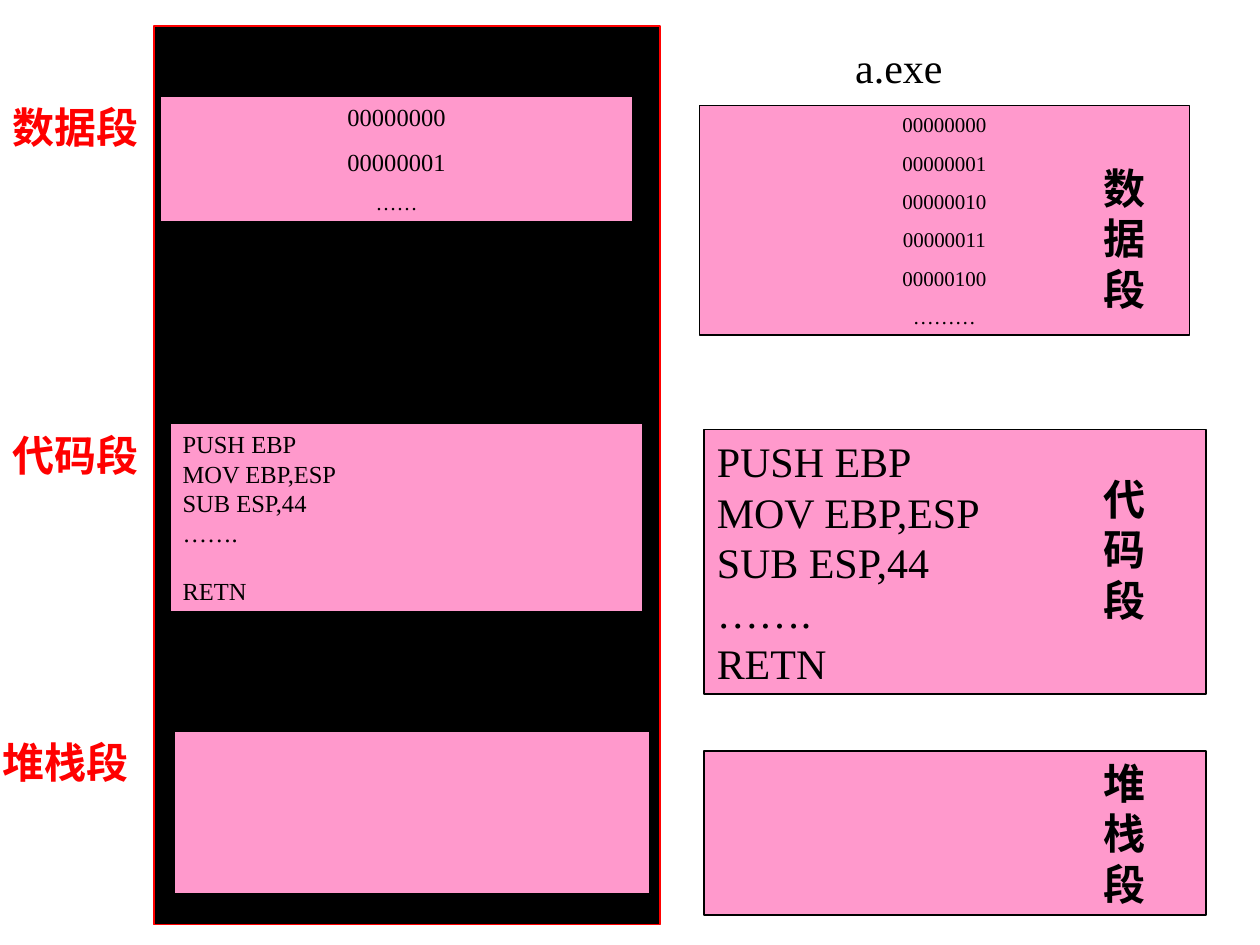
from pptx import Presentation
from pptx.dml.color import RGBColor
from pptx.enum.shapes import MSO_SHAPE as Preset
from pptx.enum.text import MSO_ANCHOR as Anchor, MSO_AUTO_SIZE as AutoSize, PP_ALIGN as Align
from pptx.util import Cm, Pt

FONT = "Times New Roman"
BLACK, RED, PINK = "000000", "FF0000", "FF99CC"
CODE = ["PUSH EBP", "MOV EBP,ESP", "SUB ESP,44", "…….", "RETN"]


def rgb(value):
    return RGBColor.from_string(value)


def write_lines(shape, lines, size, color=BLACK, bold=False, align=Align.LEFT, wrap=True):
    frame = shape.text_frame
    frame.text = "\n".join(lines)
    frame.word_wrap = wrap
    frame.auto_size = AutoSize.SHAPE_TO_FIT_TEXT
    frame.vertical_anchor = Anchor.TOP
    for paragraph in frame.paragraphs:
        paragraph.alignment = align
        for run in paragraph.runs:
            run.font.name = FONT
            run.font.size = Pt(size)
            run.font.bold = bold
            run.font.color.rgb = rgb(color)
    return frame.paragraphs


def add_box(slide, left, top, width, height, fill=PINK, line=BLACK):
    shape = slide.shapes.add_shape(
        Preset.RECTANGLE, Cm(left), Cm(top), Cm(width), Cm(height))
    shape.shadow.inherit = False
    shape.fill.solid()
    shape.fill.fore_color.rgb = rgb(fill)
    shape.line.color.rgb = rgb(line)
    shape.line.width = Pt(1)
    return shape


def add_label(slide, text, left, top, width, height=1.27, color=BLACK, bold=True, wrap=True):
    box = slide.shapes.add_textbox(Cm(left), Cm(top), Cm(width), Cm(height))
    write_lines(box, [text], 24, color, bold, wrap=wrap)


def write_data(shape, lines, size, first_shift):
    """Centre the bytes, with the first line pulled to the left."""
    paragraphs = write_lines(shape, lines, size, align=Align.CENTER)
    for paragraph in paragraphs[1:]:
        paragraph.space_before = Pt(size * 0.625)
    paragraphs[0]._p.get_or_add_pPr().set("indent", str(-Cm(first_shift)))
    return paragraphs


def add_file_sections(slide):
    data = add_box(slide, 14.1, 2.13, 9.88, 4.62)
    numbers = [f"{number:08b}" for number in range(5)]
    write_data(data, numbers + ["………"], 12, 1.18)
    code = add_box(slide, 14.2, 8.66, 10.11, 5.33)
    write_lines(code, CODE, 24)
    add_box(slide, 14.2, 15.14, 10.11, 3.3)
    for text, top in (("数据段", 3.15), ("代码段", 9.42), ("堆栈段", 15.14)):
        add_label(slide, text, 22, top, 1.65, 3.3)
    add_label(slide, "a.exe", 16.99, 0.71, 2.46, bold=False, wrap=False)


def add_memory_sections(slide):
    data = add_box(slide, 3.23, 1.93, 9.53, 2.54)
    last = write_data(data, ["00000000", "00000001", "……"], 14, 1.33)[-1]
    last.space_before = Pt(7.5)
    last.runs[0].font.size = Pt(12)
    code = add_box(slide, 3.43, 8.53, 9.53, 3.81)
    write_lines(code, CODE, 14)[-1].space_before = Pt(16.8)
    add_box(slide, 3.51, 14.73, 9.6, 3.3)
    for text, left, top, width in (("数据段", 0, 1.93, 3.12),
                                   ("代码段", 0, 8.53, 3.33),
                                   ("堆栈段", -0.2, 14.73, 3.05)):
        add_label(slide, text, left, top, width, color=RED, wrap=left == 0)


def main():
    presentation = Presentation()
    presentation.slide_width, presentation.slide_height = Cm(25.4), Cm(19.05)
    slide = presentation.slides.add_slide(presentation.slide_layouts[6])
    add_box(slide, 3.1, 0.53, 10.21, 18.11, BLACK, RED)
    add_file_sections(slide)
    add_memory_sections(slide)
    presentation.save("out.pptx")


if __name__ == "__main__":
    main()
